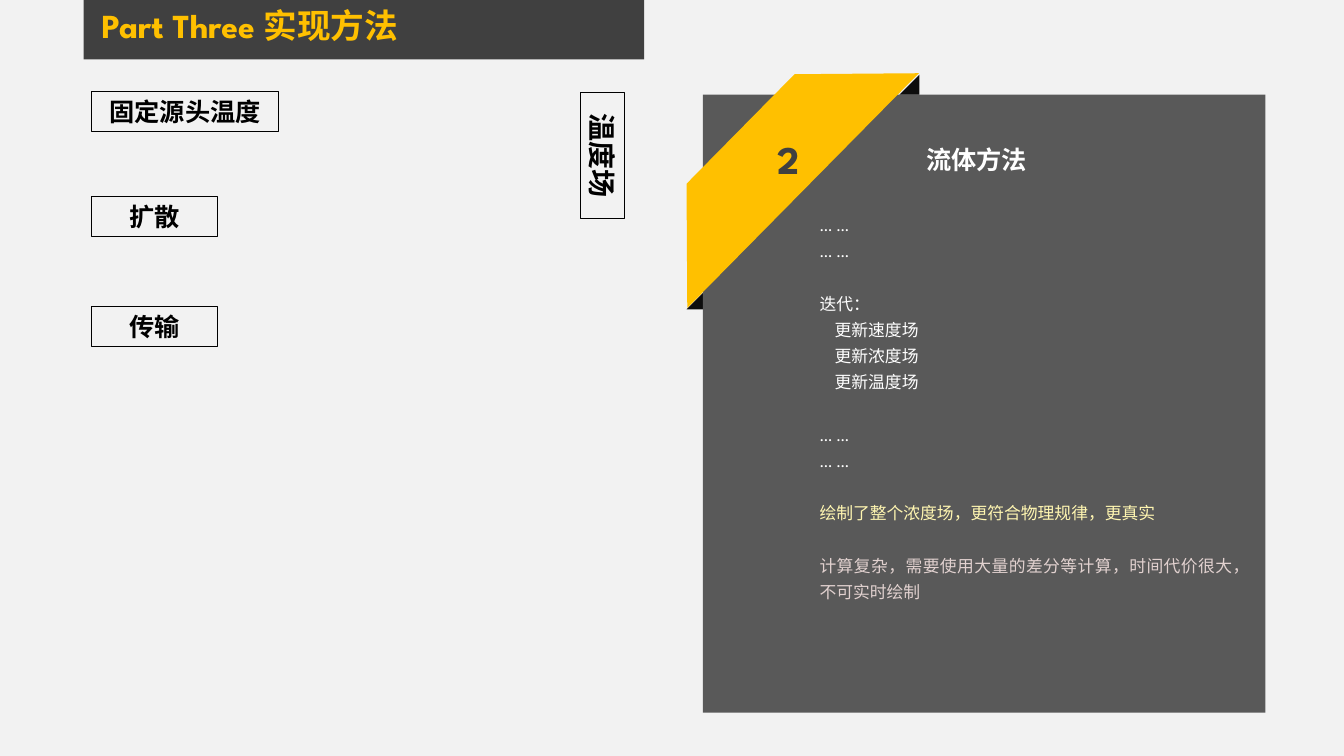
from pptx import Presentation
from pptx.dml.color import RGBColor
from pptx.enum.shapes import MSO_SHAPE
from pptx.enum.text import MSO_ANCHOR, PP_ALIGN
from pptx.util import Inches, Pt

RECTANGLE = MSO_SHAPE.RECTANGLE
TRIANGLE = MSO_SHAPE.ISOSCELES_TRIANGLE
TRAPEZOID = MSO_SHAPE.TRAPEZOID
TOP, MIDDLE = MSO_ANCHOR.TOP, MSO_ANCHOR.MIDDLE
LEFT, CENTER, JUSTIFY = PP_ALIGN.LEFT, PP_ALIGN.CENTER, PP_ALIGN.JUSTIFY

FONT = "League Spartan"
PAPER, GOLD, CHARCOAL = "F2F2F2", "FFC000", "404040"
PANEL, FOLD, WHITE, BLACK = "595959", "0D0D0D", "FFFFFF", "000000"
PRO, CON = "FFF6B1", "E1D1CF"
LINE_GAP = 18.8
STEP_INDENT = 0.15

METHOD_LINES = [
    ("… …", WHITE, 0, 0),
    ("… …", WHITE, 0, 0),
    ("迭代：", WHITE, LINE_GAP, 0),
    ("更新速度场", WHITE, 0, STEP_INDENT),
    ("更新浓度场", WHITE, 0, STEP_INDENT),
    ("更新温度场", WHITE, 0, STEP_INDENT),
    ("… …", WHITE, LINE_GAP, 0),
    ("… …", WHITE, 0, 0),
    ("绘制了整个浓度场，更符合物理规律，更真实", PRO, LINE_GAP, 0),
    ("计算复杂，需要使用大量的差分等计算，时间代价很大，不可实时绘制", CON, LINE_GAP, 0),
]


def rgb(color):
    return RGBColor.from_string(color)


def add_block(slide, kind, box, fill=None, outline=None, rotation=0, adjust=None):
    block = slide.shapes.add_shape(kind, *map(Inches, box))
    block.shadow.inherit = False
    block.rotation = rotation
    if adjust is not None:
        block.adjustments[0] = adjust
    if fill:
        block.fill.solid()
        block.fill.fore_color.rgb = rgb(fill)
    else:
        block.fill.background()
    if outline:
        block.line.color.rgb = rgb(outline)
        block.line.width = Pt(0.75)
    else:
        block.line.fill.background()
    return block


def write(paragraph, text, size=18, color=BLACK, bold=True, align=LEFT,
          spacing=1, before=0, indent=0):
    paragraph.alignment = align
    paragraph.line_spacing = spacing
    paragraph.space_before = Pt(before)
    if indent:
        paragraph._p.get_or_add_pPr().set("marL", str(Inches(indent)))
    run = paragraph.add_run()
    run.text = text
    run.font.name = FONT
    run.font.size = Pt(size)
    run.font.bold = bold
    run.font.color.rgb = rgb(color)


def add_frame(slide, box, wrap=True):
    frame = slide.shapes.add_textbox(*map(Inches, box)).text_frame
    frame.word_wrap = wrap
    frame.vertical_anchor = TOP
    return frame


def add_header(slide, left, top, width, height):
    add_block(slide, RECTANGLE, (left, top, width, height), CHARCOAL)
    title = add_frame(slide, (left + 0.08, top + 0.04, 3.75, 0.53))
    write(title.paragraphs[0], "Part Three 实现方法", size=24, color=GOLD, spacing=0.9)


def add_label(slide, text, box, size=18, rotation=0):
    label = add_block(slide, RECTANGLE, box, outline=BLACK, rotation=rotation)
    label.text_frame.word_wrap = True
    label.text_frame.vertical_anchor = MIDDLE
    write(label.text_frame.paragraphs[0], text, size=size, align=CENTER)


def add_stages(slide, left, top):
    for text, offset, width in (("固定源头温度", 0, 1.85), ("扩散", 1.04, 1.25), ("传输", 2.13, 1.25)):
        add_label(slide, text, (left, top + offset, width, 0.4))
    add_label(slide, "温度场", (left + 4.44, top + 0.41, 1.25, 0.44), size=20, rotation=90)


def add_method_panel(slide, left, top, width, height):
    fold = 0.2
    add_block(slide, TRIANGLE, (left - 0.16, top + 1.93, fold, fold), FOLD, adjust=1)
    add_block(slide, RECTANGLE, (left, top, width, height), PANEL)
    add_block(slide, TRIANGLE, (left + 1.95, top - fold, fold, fold), FOLD, adjust=1)

    heading = add_frame(slide, (left + 2.11, top + 0.44, 1.21, 0.4), wrap=False)
    write(heading.paragraphs[0], "流体方法", color=WHITE, align=CENTER)

    steps = add_frame(slide, (left + 1.06, top + 1.08, 4.3, 4.04))
    for index, (text, color, before, indent) in enumerate(METHOD_LINES):
        paragraph = steps.add_paragraph() if index else steps.paragraphs[0]
        write(paragraph, text, size=12, color=color, bold=False, align=JUSTIFY,
              spacing=1.3, before=before, indent=indent)

    add_block(slide, TRAPEZOID, (left - 0.95, top + 0.21, 3.27, 0.87), GOLD,
              rotation=314.6, adjust=1.002)
    number = add_frame(slide, (left + 0.64, top + 0.35, 0.42, 0.57), wrap=False)
    write(number.paragraphs[0], "2", size=28, color=CHARCOAL)


def main():
    deck = Presentation()
    deck.slide_width, deck.slide_height = Inches(13.33), Inches(7.5)
    slide = deck.slides.add_slide(deck.slide_layouts[6])
    slide.background.fill.solid()
    slide.background.fill.fore_color.rgb = rgb(PAPER)
    add_header(slide, 0.83, 0, 5.56, 0.59)
    add_method_panel(slide, 6.97, 0.94, 5.58, 6.13)
    add_stages(slide, 0.91, 0.91)
    deck.save("out.pptx")


if __name__ == "__main__":
    main()
